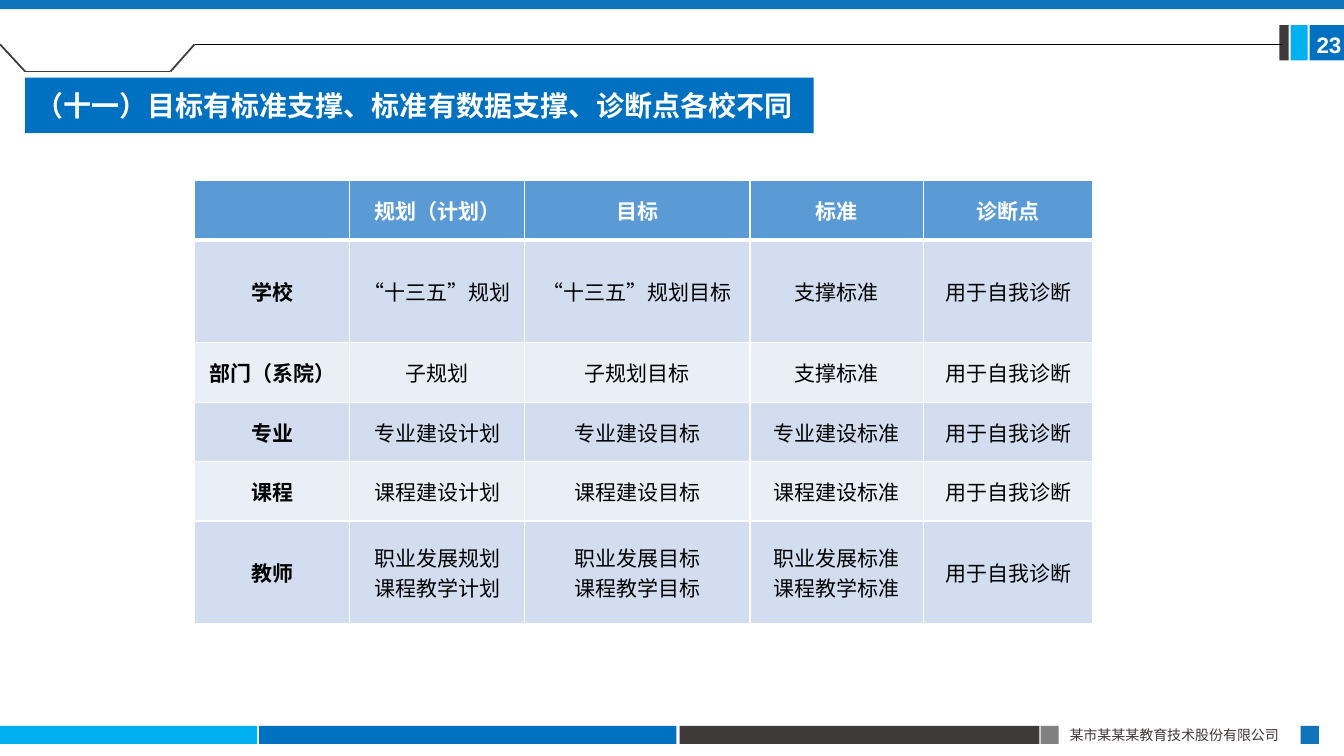
import pptx
import pptx.util
import pptx.dml.color
import pptx.enum.text
import pptx.enum.shapes
import pptx.oxml.ns
from lxml import etree

SCALE = 9144  # EMU per px, 100 px to the inch
HUES = {
    "blue": "0070C0", "bar": "1074BB", "sky": "00B0F0", "dark": "3E3A39",
    "gray": "808080", "white": "FFFFFF", "black": "000000",
    "head": "5B9BD5", "odd": "D2DEEF", "even": "EAEFF7",
}
CJK = "Noto Sans CJK SC"
ALIGN = pptx.enum.text.PP_ALIGN
MID = pptx.enum.text.MSO_ANCHOR.MIDDLE
qn = pptx.oxml.ns.qn

# left, top, width, height, colour
BLOCKS = [
    (0, 720, 255, 18, "sky"), (257, 720, 414, 18, "blue"),
    (674, 720, 357, 18, "dark"), (1032, 720, 18, 18, "gray"),
    (1290, 720, 18, 18, "bar"), (1299, 25, 35, 35, "blue"),
    (1280, 25, 17, 35, "sky"), (1269, 25, 9, 35, "dark"),
    (0, 0, 1333, 9, "bar"),
]
# from x, y, to x, y, colour, width in points
LINES = [
    (25, 71, 169, 71, "dark", 1.25), (169, 71, 193, 44, "dark", 1.25),
    (25, 71, 0, 44, "dark", 1.25), (193, 44, 1272, 44, "black", 0.5),
]
COLS = [154, 173, 224, 172, 168]
ROWS = [59, 102, 59, 59, 59, 102]
DATA = [
    ["", "规划（计划）", "目标", "标准", "诊断点"],
    ["学校", "“十三五”规划", "“十三五”规划目标", "支撑标准", "用于自我诊断"],
    ["部门（系院）", "子规划", "子规划目标", "支撑标准", "用于自我诊断"],
    ["专业", "专业建设计划", "专业建设目标", "专业建设标准", "用于自我诊断"],
    ["课程", "课程建设计划", "课程建设目标", "课程建设标准", "用于自我诊断"],
    ["教师", "职业发展规划\n课程教学计划", "职业发展目标\n课程教学目标",
     "职业发展标准\n课程教学标准", "用于自我诊断"],
]


def px(*nums):
    return [pptx.util.Emu(n * SCALE) for n in nums]


def rgb(hue):
    return pptx.dml.color.RGBColor.from_string(HUES[hue])


def paint(item, hue):
    item.fill.solid()
    item.fill.fore_color.rgb = rgb(hue)


def assign(item, form):
    for key, val in form.items():
        setattr(item, key, val)


def write(frame, text, size, hue, face=CJK, bold=False, align=ALIGN.LEFT):
    frame.text = text
    form = {"name": face, "size": pptx.util.Pt(size), "bold": bold}
    for para in frame.paragraphs:
        para.alignment = align
        for run in para.runs:
            assign(run.font, form)
            run.font.color.rgb = rgb(hue)
            east = etree.SubElement(run.font._element, qn("a:ea"))
            east.set("typeface", CJK)


def block(slide, x, y, wide, high, hue):
    kind = pptx.enum.shapes.MSO_SHAPE.RECTANGLE
    shape = slide.shapes.add_shape(kind, *px(x, y, wide, high))
    shape.shadow.inherit = False
    paint(shape, hue)
    shape.line.fill.background()


def line(slide, x1, y1, x2, y2, hue, width):
    kind = pptx.enum.shapes.MSO_CONNECTOR.STRAIGHT
    wire = slide.shapes.add_connector(kind, *px(x1, y1, x2, y2))
    wire.line.color.rgb = rgb(hue)
    wire.line.width = pptx.util.Pt(width)
    etree.SubElement(wire._element.spPr, qn("a:effectLst"))


def label(slide, spot, text, wrap, **form):
    frame = slide.shapes.add_textbox(*px(*spot)).text_frame
    frame.word_wrap = wrap
    write(frame, text, **form)


def title(slide, spot, text):
    head = slide.shapes.title
    assign(head, dict(zip(("left", "top", "width", "height"), px(*spot))))
    paint(head, "blue")
    assign(head.text_frame, {
        "word_wrap": True, "vertical_anchor": MID,
        "auto_size": pptx.enum.text.MSO_AUTO_SIZE.NONE})
    write(head.text_frame, text, 20, "white", "Calibri", True)


def border(cell, top, base):
    props = cell._tc.get_or_add_tcPr()
    for side, width in zip("LRTB", (1, 1, top, base)):
        edge = etree.SubElement(props, qn("a:ln" + side))
        edge.set("w", str(pptx.util.Pt(width)))
        fill = etree.SubElement(edge, qn("a:solidFill"))
        etree.SubElement(fill, qn("a:srgbClr")).set("val", HUES["white"])


def grid(slide, x, y):
    spot = px(x, y, sum(COLS), sum(ROWS))
    table = slide.shapes.add_table(len(ROWS), len(COLS), *spot).table
    for col, wide in zip(table.columns, px(*COLS)):
        col.width = wide
    for row, high in zip(table.rows, px(*ROWS)):
        row.height = high
    side, edge = px(7, 4)
    form = {"vertical_anchor": MID, "margin_left": side, "margin_right": side,
            "margin_top": edge, "margin_bottom": edge}
    for r, texts in enumerate(DATA):
        hue = "head" if r == 0 else "odd" if r % 2 else "even"
        for c, text in enumerate(texts):
            cell = table.cell(r, c)
            assign(cell, form)
            # Thick rule between header and body
            border(cell, 3 if r == 1 else 1, 3 if r == 0 else 1)
            paint(cell, hue)
            write(cell.text_frame, text, 15, "black" if r else "white",
                  bold=r == 0 or c == 0, align=ALIGN.CENTER)


def main():
    deck = pptx.Presentation()
    deck.slide_width, deck.slide_height = px(1333, 750)
    slide = deck.slides.add_slide(deck.slide_layouts[5])

    # Frame of bars and lines
    for item in BLOCKS:
        block(slide, *item)
    for item in LINES:
        line(slide, *item)

    # Footer and page number
    label(slide, (1051, 716, 240, 27), "某市某某某教育技术股份有限公司", True,
          size=10, hue="dark", align=ALIGN.JUSTIFY)
    label(slide, (1296, 26, 50, 37), "23", False,
          size=16, hue="white", face="Arial", bold=True)

    # Title and table
    title(slide, (25, 77, 782, 55),
          "（十一）目标有标准支撑、标准有数据支撑、诊断点各校不同")
    grid(slide, 193, 179)
    deck.save("out.pptx")


if __name__ == "__main__":
    main()
